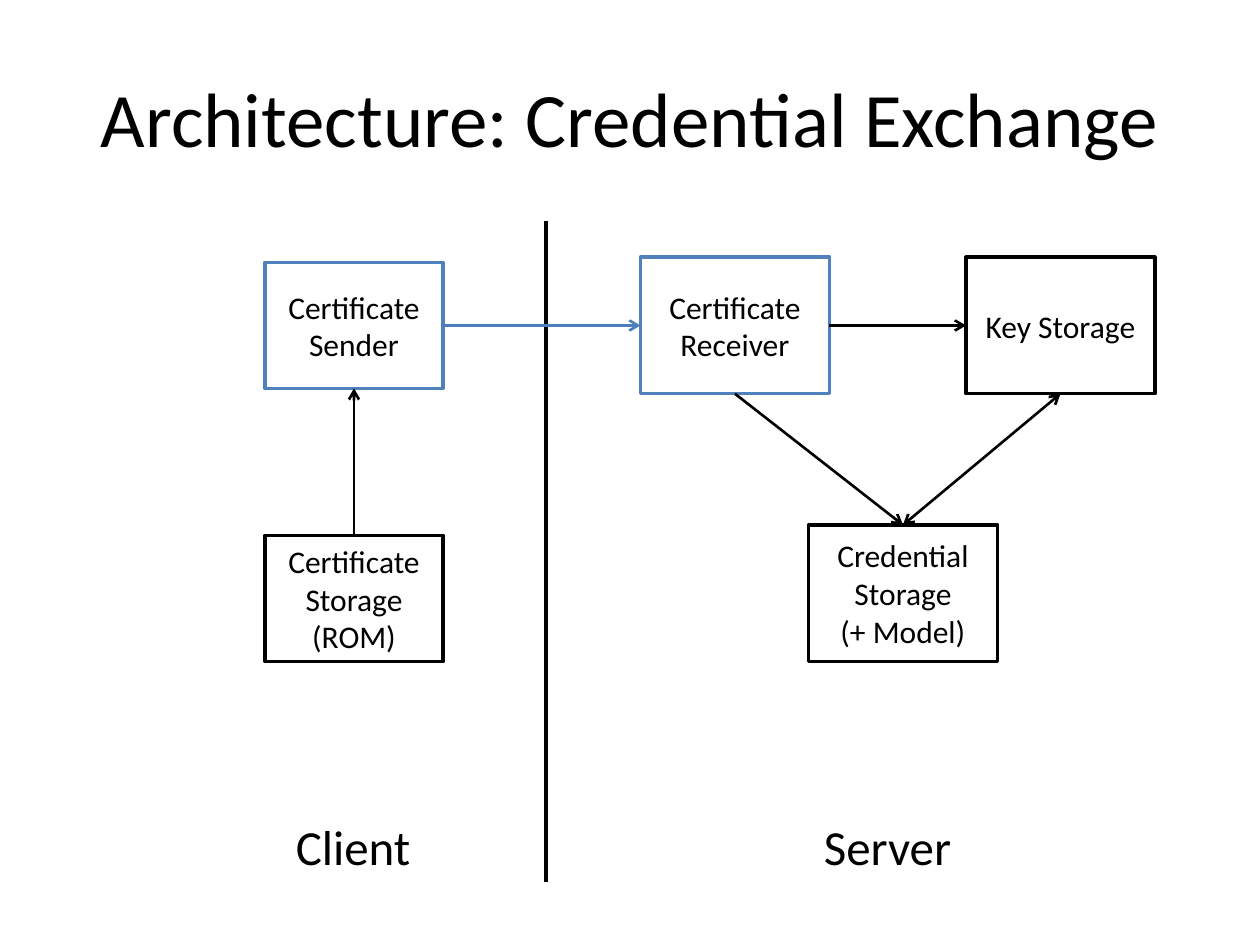
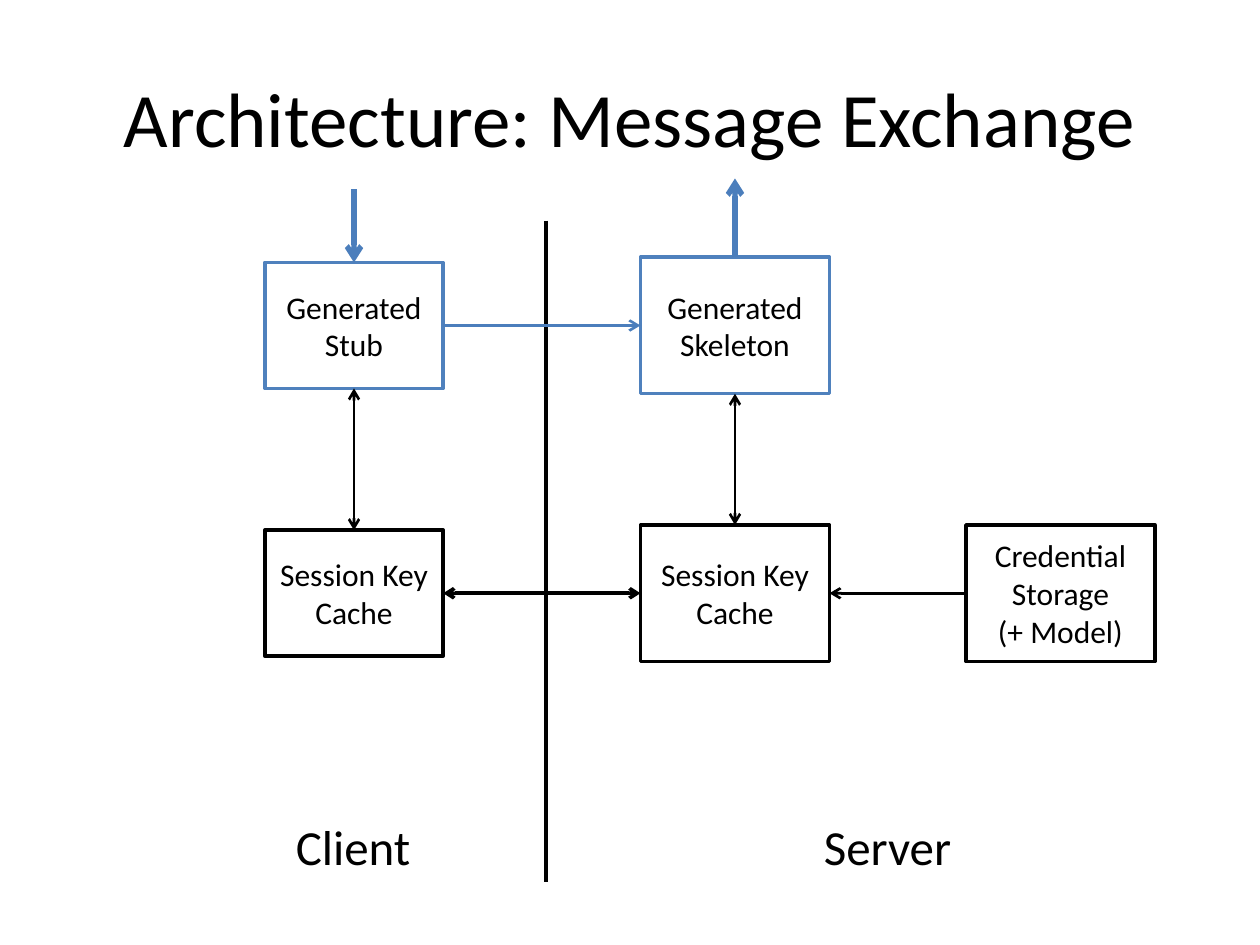
from lxml import etree
from pptx import Presentation
from pptx.dml.color import RGBColor
from pptx.enum.shapes import MSO_CONNECTOR, MSO_SHAPE
from pptx.enum.text import MSO_ANCHOR, PP_ALIGN
from pptx.oxml.ns import qn
from pptx.util import Pt

RECT = MSO_SHAPE.RECTANGLE
LINE = MSO_CONNECTOR.STRAIGHT
MIDDLE = MSO_ANCHOR.MIDDLE
LEFT, CENTER = PP_ALIGN.LEFT, PP_ALIGN.CENTER

# Shared colours and the connection sites of a rectangle
BLACK, WHITE, BLUE, FLOW = "000000", "FFFFFF", "4F81BD", "4B7EBC"
TOP, WEST, BASE, EAST = range(4)

# Columns and rows are box centres; box sizes differ by side
CLIENT, SERVER, MID, RIGHT = 202.3, 420, 516, 606
UPPER, LOWER = 186, 339
SMALL, LARGE = (102, 72), (108, 78)


def write(shape, text, size, align, wrap=True):
    frame = shape.text_frame
    frame.text = text
    frame.word_wrap = wrap
    frame.vertical_anchor = MIDDLE
    for para in frame.paragraphs:
        para.alignment = align
        font = para.runs[0].font
        style = {"name": "Calibri", "size": Pt(size)}
        for key, value in style.items():
            setattr(font, key, value)
        font.color.rgb = RGBColor.from_string(BLACK)


def draw(slide, start, end, color, width, ends=()):
    points = [Pt(v) for v in (*start, *end)]
    line = slide.shapes.add_connector(LINE, *points)
    line.line.color.rgb = RGBColor.from_string(color)
    line.line.width = Pt(width)
    edge = line.line._get_or_add_ln()
    for end_name in ends:
        etree.SubElement(edge, qn(f"a:{end_name}"), type="arrow")
    etree.SubElement(line._element.spPr, qn("a:effectLst"))
    return line


ONE, BOTH = ("tailEnd",), ("headEnd", "tailEnd")

# Boxes: text, centre, size, line colour
# Links: from box, site, to box, site, colour, width, arrow ends
# Flows: free arrows into and out of the diagram
pages = [
    {
        "title": "Architecture: Credential Exchange",
        "boxes": {
            "sender": ("Certificate\nSender", CLIENT, UPPER, SMALL, BLUE),
            "rom": ("Certificate\nStorage\n(ROM)", CLIENT, LOWER + 3, SMALL, BLACK),
            "receiver": ("Certificate\nReceiver", SERVER, UPPER, LARGE, BLUE),
            "keys": ("Key Storage", RIGHT, UPPER, LARGE, BLACK),
            "store": ("Credential\nStorage\n(+ Model)", MID, LOWER, LARGE, BLACK),
        },
        "links": [
            ("rom", TOP, "sender", BASE, BLACK, 1.5, ONE),
            ("sender", EAST, "receiver", WEST, FLOW, 1.5, ONE),
            ("receiver", EAST, "keys", WEST, BLACK, 1.5, ONE),
            ("receiver", BASE, "store", TOP, BLACK, 1.5, ONE),
            ("keys", BASE, "store", TOP, BLACK, 1.5, BOTH),
        ],
        "flows": [],
    },
    {
        "title": "Architecture: Message Exchange",
        "boxes": {
            "stub": ("Generated\nStub", CLIENT, UPPER, SMALL, BLUE),
            "cache": ("Session Key Cache", CLIENT, LOWER, SMALL, BLACK),
            "skeleton": ("Generated\nSkeleton", SERVER, UPPER, LARGE, BLUE),
            "peer": ("Session Key Cache", SERVER, LOWER, LARGE, BLACK),
            "store": ("Credential\nStorage\n(+ Model)", RIGHT, LOWER, LARGE, BLACK),
        },
        "links": [
            ("cache", TOP, "stub", BASE, BLACK, 1.5, BOTH),
            ("stub", EAST, "skeleton", WEST, FLOW, 1.5, ONE),
            ("skeleton", BASE, "peer", TOP, BLACK, 1.5, BOTH),
            ("store", WEST, "peer", EAST, BLACK, 1.5, ONE),
            ("cache", EAST, "peer", WEST, BLACK, 2, BOTH),
        ],
        "flows": [
            ((CLIENT, 108), (CLIENT, 150)),
            ((SERVER, 147), (SERVER, 102)),
        ],
    },
]

deck = Presentation()
deck.slide_width, deck.slide_height = Pt(720), Pt(540)

for page in pages:
    slide = deck.slides.add_slide(deck.slide_layouts[6])

    # Title
    title = slide.shapes.add_textbox(Pt(36), Pt(21.6), Pt(648), Pt(90))
    write(title, page["title"], 44, CENTER)

    # Boxes
    made = {}
    for name, (text, x, y, (w, h), color) in page["boxes"].items():
        area = [Pt(v) for v in (x - w / 2, y - h / 2, w, h)]
        box = slide.shapes.add_shape(RECT, *area)
        box.shadow.inherit = False
        box.fill.solid()
        box.fill.fore_color.rgb = RGBColor.from_string(WHITE)
        box.line.color.rgb = RGBColor.from_string(color)
        box.line.width = Pt(2)
        write(box, text, 18, CENTER)
        made[name] = box

    # Divider and side labels
    draw(slide, (312, 126), (312, 504), BLACK, 2.5)
    for text, x, w in (("Client", 162, 80.6), ("Server", 463.7, 87.8)):
        label = slide.shapes.add_textbox(Pt(x), Pt(463), Pt(w), Pt(41))
        write(label, text, 28, LEFT, wrap=False)

    # Links between boxes, then outer flows
    for first, out, last, into, color, width, ends in page["links"]:
        link = draw(slide, (0, 0), (0, 0), color, width, ends)
        link.begin_connect(made[first], out)
        link.end_connect(made[last], into)
    for start, end in page["flows"]:
        draw(slide, start, end, FLOW, 3, ONE)

deck.save("out.pptx")
